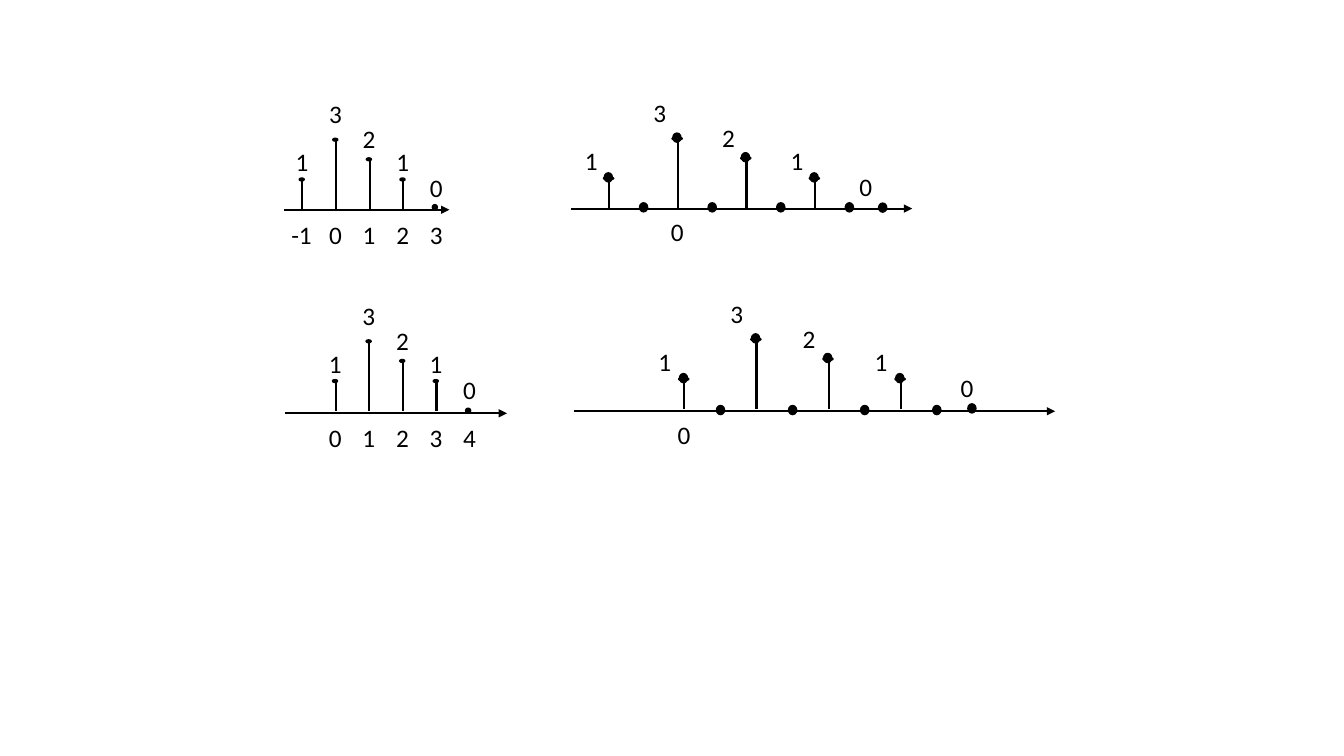
from lxml import etree
from pptx import Presentation
from pptx.dml.color import RGBColor
from pptx.enum import shapes, text
from pptx.oxml.ns import qn
from pptx.util import Pt

INK = "000000"
SAMPLES = [1, 3, 2, 1, 0]
STEM_HEIGHT = {3: 50, 2: 36, 1: 21.6, 0: 0}
LABEL_RISE = {3: 82.8, 2: 65, 1: 48.5, 0: 30.2}
LABEL_HEIGHT = 29
INDEX_DROP = 3


def colour(hex_code):
    return RGBColor.from_string(hex_code)


def add_line(group, x1, y1, x2, y2, arrow=False):
    line = group.shapes.add_connector(
        shapes.MSO_CONNECTOR.STRAIGHT, Pt(x1), Pt(y1), Pt(x2), Pt(y2))
    line.line.color.rgb = colour(INK)
    line.line.width = Pt(1.5)
    properties = line._element.spPr
    if arrow:
        etree.SubElement(properties.find(qn("a:ln")), qn("a:tailEnd"), type="triangle")
    etree.SubElement(properties, qn("a:effectLst"))


def add_dot(group, x, y, width, height):
    dot = group.shapes.add_shape(
        shapes.MSO_SHAPE.OVAL, Pt(x - width / 2), Pt(y - height / 2), Pt(width), Pt(height))
    dot.shadow.inherit = False
    dot.fill.solid()
    dot.fill.fore_color.rgb = colour(INK)
    dot.line.color.rgb = colour(INK)
    dot.line.width = Pt(1)


def add_number(group, number, x, top, width=24):
    label = group.shapes.add_textbox(Pt(x - width / 2), Pt(top), Pt(width), Pt(LABEL_HEIGHT))
    frame = label.text_frame
    frame.word_wrap = False
    frame.auto_size = text.MSO_AUTO_SIZE.SHAPE_TO_FIT_TEXT
    paragraph = frame.paragraphs[0]
    paragraph.text = str(number)
    paragraph.font.name = "Calibri"
    paragraph.font.size = Pt(18)
    paragraph.font.color.rgb = colour(INK)


def add_axis(group, left, baseline, length):
    add_line(group, left, baseline, left + length, baseline, arrow=True)


def add_stem(group, x, foot, value, cap_width):
    if value:
        top = foot - STEM_HEIGHT[value]
        add_line(group, x, top, x, foot)
        add_dot(group, x - 0.5, top, cap_width, 2)


def draw_sequence(slide, left, baseline, length, first_stem, first_index, lift):
    pitch = 24
    group = slide.shapes.add_group_shape()
    add_axis(group, left, baseline, length)
    foot = baseline - lift
    for position, value in enumerate(SAMPLES):
        x = left + first_stem + position * pitch
        index = first_index + position
        add_stem(group, x, foot, value, 3.6)
        if not value:
            add_dot(group, x - 1.4, baseline - 1.8, 3.6, 3.6)
        add_number(group, value, x, foot - LABEL_RISE[value])
        add_number(group, index, x, baseline + INDEX_DROP, 30 if index < 0 else 24)


def draw_upsampled(slide, left, baseline, length, first_stem, pitch, origin, lift, zero_shift):
    group = slide.shapes.add_group_shape()
    add_axis(group, left, baseline, length)
    foot = baseline - lift
    for position, value in enumerate(SAMPLES):
        x = left + first_stem + position * pitch
        add_stem(group, x, foot, value, 7.4)
        add_dot(group, x - 0.7, foot - STEM_HEIGHT[value] - 0.7, 5.8, 6.5)
        if position:
            add_dot(group, x - pitch / 2, baseline - 0.9, 5.8, 6.5)
        shift = 0 if value else zero_shift
        add_number(group, value, x + shift, foot - LABEL_RISE[value], pitch)
        if position == origin:
            add_number(group, 0, x, baseline + INDEX_DROP - 0.8)


def main():
    deck = Presentation()
    deck.slide_width, deck.slide_height = Pt(960), Pt(540)
    slide = deck.slides.add_slide(deck.slide_layouts[6])
    draw_sequence(slide, 203, 149.8, 118, first_stem=13, first_index=-1, lift=0)
    draw_sequence(slide, 203.8, 295.2, 158.4, first_stem=36, first_index=0, lift=1.4)
    draw_upsampled(slide, 408.2, 149, 243.4, first_stem=27, pitch=49,
                   origin=1, lift=0, zero_shift=0)
    draw_upsampled(slide, 409.7, 293.8, 344, first_stem=79.2, pitch=51.5,
                   origin=0, lift=1.4, zero_shift=10)
    deck.save("out.pptx")


if __name__ == "__main__":
    main()
